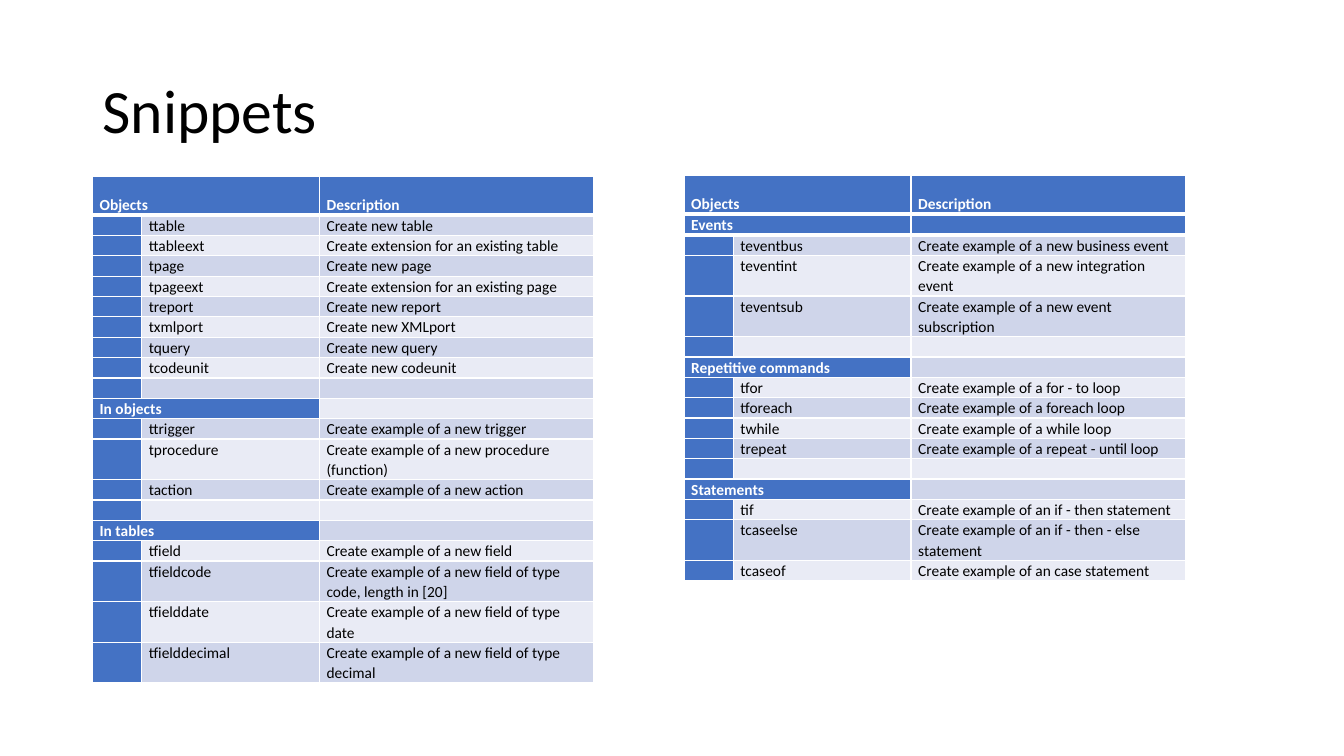
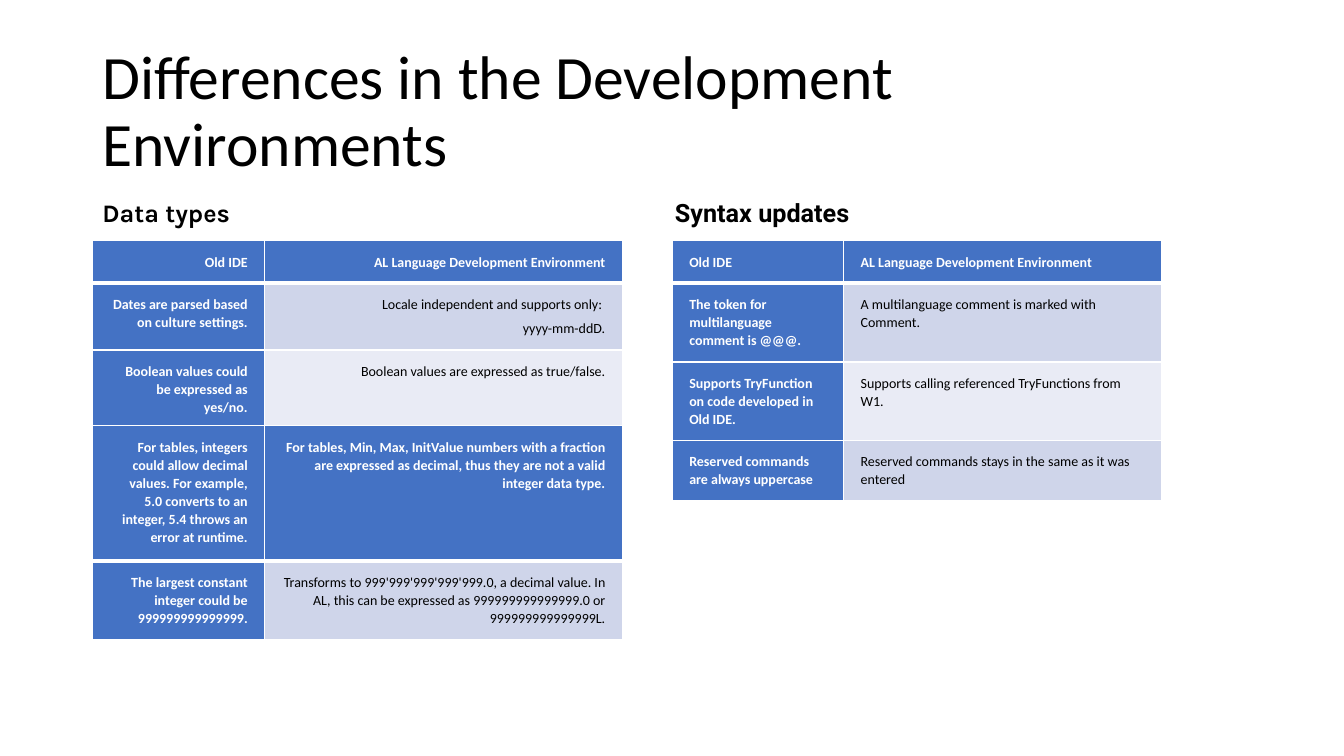
from lxml import etree
from pptx import Presentation
from pptx.dml.color import RGBColor
from pptx.enum.text import MSO_ANCHOR, MSO_AUTO_SIZE, PP_ALIGN
from pptx.oxml.ns import qn
from pptx.util import Cm, Pt

LEFT, RIGHT = PP_ALIGN.LEFT, PP_ALIGN.RIGHT
TOP, MIDDLE, BOTTOM = MSO_ANCHOR.TOP, MSO_ANCHOR.MIDDLE, MSO_ANCHOR.BOTTOM
FIT_SHAPE, FIXED = MSO_AUTO_SIZE.SHAPE_TO_FIT_TEXT, MSO_AUTO_SIZE.NONE

COLORS = {
    "accent": "4472C4",
    "band_dark": "CFD5EA",
    "band_light": "E9EBF5",
    "text": "000000",
    "white": "FFFFFF",
}
FONT = "Calibri"
TITLE_ONLY = 5
LEFT_EDGE = 2.33

# Table styles: font size, side and top margins, space between paragraphs
COMPACT = {"size": 11, "side": 0.18, "top": 0, "gap": 0}
ROOMY = {"size": 10, "side": 0.43, "top": 0.3, "gap": 4.3}


class SlideBuilder:
    def __init__(self):
        self.deck = Presentation()
        self.deck.slide_width, self.deck.slide_height = Cm(33.87), Cm(19.05)
        self.page = None

    def style(self, para, size, color="text", bold=False, font=FONT, align=LEFT):
        para.alignment = align
        para.font.name, para.font.size, para.font.bold = font, Pt(size), bold
        para.font.color.rgb = RGBColor.from_string(COLORS[color])

    def add_page(self, title):
        self.page = self.deck.slides.add_slide(self.deck.slide_layouts[TITLE_ONLY])
        box = self.page.shapes.title
        box.left, box.top, box.width, box.height = Cm(LEFT_EDGE), Cm(1.01), Cm(29.21), Cm(3.68)
        frame = box.text_frame
        frame.text = title
        frame.auto_size = FIXED
        frame.vertical_anchor = MIDDLE
        frame.paragraphs[0].line_spacing = 0.9
        self.style(frame.paragraphs[0], 44)

    def add_heading(self, text, left, width, font):
        box = self.page.shapes.add_textbox(Cm(left), Cm(4.85), Cm(width), Cm(1.02))
        frame = box.text_frame
        frame.text = text
        frame.word_wrap = False
        frame.auto_size = FIT_SHAPE
        self.style(frame.paragraphs[0], 18, bold=True, font=font)

    def set_borders(self, cell, top, bottom):
        """Draw white cell borders; top and bottom widths are in points."""
        props = cell._tc.get_or_add_tcPr()
        for index, (side, width) in enumerate((("L", 1), ("R", 1), ("T", top), ("B", bottom))):
            line = etree.Element(qn(f"a:ln{side}"), w=str(Pt(width)))
            fill = etree.SubElement(line, qn("a:solidFill"))
            etree.SubElement(fill, qn("a:srgbClr"), val=COLORS["white"])
            props.insert(index, line)

    def fill_cell(self, cell, text, color, look, align, anchor):
        accent = color == "accent"
        cell.fill.solid()
        cell.fill.fore_color.rgb = RGBColor.from_string(COLORS[color])
        cell.margin_left = cell.margin_right = Cm(look["side"])
        cell.margin_top = cell.margin_bottom = Cm(look["top"])
        cell.vertical_anchor = anchor
        cell.text_frame.text = text
        for number, para in enumerate(cell.text_frame.paragraphs):
            para.line_spacing = 1.07
            if number:
                para.space_before = Pt(look["gap"])
            self.style(para, look["size"], "white" if accent else "text", accent, align=align)

    def add_table(self, left, top, widths, heights, rows, look, align=LEFT, head_anchor=BOTTOM):
        """First row and column are accented; a label before an empty cell spans both."""
        frame = self.page.shapes.add_table(
            len(rows), len(widths), Cm(left), Cm(top), Cm(sum(widths)), Cm(sum(heights)))
        table = frame.table
        table.horz_banding = False
        for column, width in zip(table.columns, widths):
            column.width = Cm(width)
        for r, (texts, height) in enumerate(zip(rows, heights)):
            table.rows[r].height = Cm(height)
            band = "band_dark" if r % 2 else "band_light"
            for c, text in enumerate(texts):
                cell = table.cell(r, c)
                color = "accent" if r == 0 or c == 0 else band
                self.fill_cell(cell, text, color, look, align, TOP if r else head_anchor)
                self.set_borders(cell, 3 if r == 1 else 1, 1 if r else 3)
            if texts[0] and not texts[1]:
                table.cell(r, 0).merge(table.cell(r, 1))


def snippet_rows(groups):
    """Turn (label, snippets) groups into rows, with an empty row between groups."""
    rows = []
    for label, snippets in groups:
        if rows:
            rows.append(("", "", ""))
        rows.append((label, "", "Description" if label == "Objects" else ""))
        rows += [("", name, text) for name, text in snippets]
    return rows


OBJECT_SNIPPETS = snippet_rows([
    ("Objects", [
        ("ttable", "Create new table"),
        ("ttableext", "Create extension for an existing table"),
        ("tpage", "Create new page"),
        ("tpageext", "Create extension for an existing page"),
        ("treport", "Create new report"),
        ("txmlport", "Create new XMLport"),
        ("tquery", "Create new query"),
        ("tcodeunit", "Create new codeunit"),
    ]),
    ("In objects", [
        ("ttrigger", "Create example of a new trigger"),
        ("tprocedure", "Create example of a new procedure (function)"),
        ("taction", "Create example of a new action"),
    ]),
    ("In tables", [
        ("tfield", "Create example of a new field"),
        ("tfieldcode", "Create example of a new field of type code, length in [20]"),
        ("tfielddate", "Create example of a new field of type date"),
        ("tfielddecimal", "Create example of a new field of type decimal"),
    ]),
])
CODE_SNIPPETS = snippet_rows([
    ("Events", [
        ("teventbus", "Create example of a new business event"),
        ("teventint", "Create example of a new integration event"),
        ("teventsub", "Create example of a new event subscription"),
    ]),
    ("Repetitive commands", [
        ("tfor", "Create example of a for - to loop"),
        ("tforeach", "Create example of a foreach loop"),
        ("twhile", "Create example of a while loop"),
        ("trepeat", "Create example of a repeat - until loop"),
    ]),
    ("Statements", [
        ("tif", "Create example of an if - then statement"),
        ("tcaseelse", "Create example of an if - then - else statement"),
        ("tcaseof", "Create example of an case statement"),
    ]),
])

ENVIRONMENTS = ("Old IDE", "AL Language Development Environment")
DATA_TYPES = [
    ENVIRONMENTS,
    ("Dates are parsed based on culture settings.",
     "Locale independent and supports only: \nyyyy-mm-ddD."),
    ("Boolean values could be expressed as yes/no.",
     "Boolean values are expressed as true/false."),
]
INTEGER_TYPES = [
    ("For tables, integers could allow decimal values. For example, 5.0 converts to an "
     "integer, 5.4 throws an error at runtime.",
     "For tables, Min, Max, InitValue numbers with a fraction are expressed as decimal, "
     "thus they are not a valid integer data type."),
    ("The largest constant integer could be 999999999999999.",
     "Transforms to 999'999'999'999'999.0, a decimal value. In AL, this can be expressed "
     "as 999999999999999.0 or 999999999999999L."),
]
SYNTAX_UPDATES = [
    ENVIRONMENTS,
    ("The token for multilanguage comment is @@@.",
     "A multilanguage comment is marked with Comment."),
    ("Supports TryFunction on code developed in Old IDE.",
     "Supports calling referenced TryFunctions from W1."),
    ("Reserved commands are always uppercase",
     "Reserved commands stays in the same as it was entered"),
]


def main():
    builder = SlideBuilder()

    # Snippets: rows with two lines grow from the common height
    indent, name, description = widths = (1.24, 4.48, 6.91)
    head, row, right = 0.97, 0.51, 17.24
    builder.add_page("Snippets")
    builder.add_table(LEFT_EDGE, 4.45, widths, [head] + [row] * (len(OBJECT_SNIPPETS) - 1),
                      OBJECT_SNIPPETS, COMPACT)
    builder.add_table(right, 5.41, widths, [row] * len(CODE_SNIPPETS), CODE_SNIPPETS, COMPACT)
    builder.add_table(right, 4.42, (indent + name, description), [head],
                      [("Objects", "Description")], COMPACT)

    # Differences between the environments
    widths, top = (4.34, 9.01), 6.05
    builder.add_page("Differences in the Development Environments")
    builder.add_table(LEFT_EDGE, top, widths, (1.09, 1.68, 1.52), DATA_TYPES, ROOMY, RIGHT)
    builder.add_table(LEFT_EDGE, 10.73, widths, (3.4, 1.98), INTEGER_TYPES, ROOMY, RIGHT, TOP)
    builder.add_heading("Data types", LEFT_EDGE, 3.96, "Karla")
    builder.add_heading("Syntax updates", 16.76, 5.11, "Roboto")
    builder.add_table(16.94, top, (4.32, 8.02), (1.09, 1.98, 1.98, 1.52), SYNTAX_UPDATES, ROOMY)

    builder.deck.save("out.pptx")


if __name__ == "__main__":
    main()
